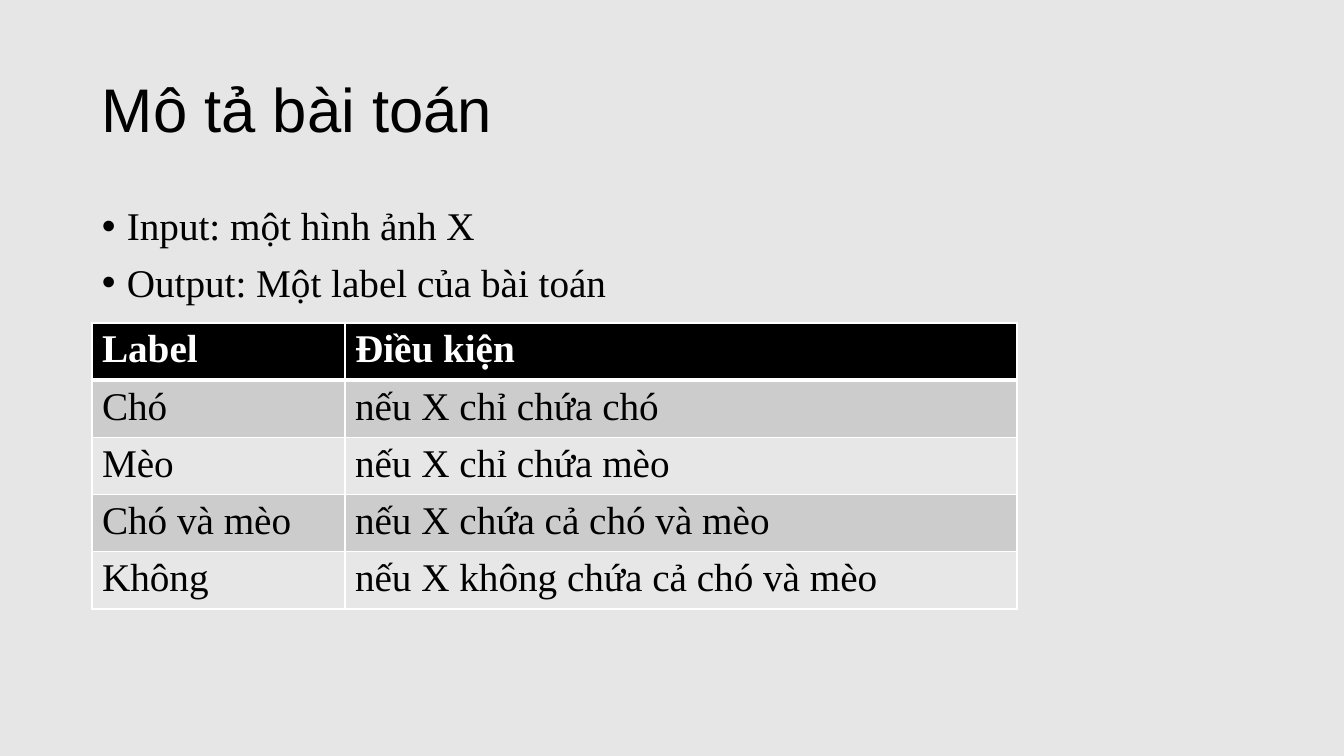
from lxml.etree import SubElement
from pptx import Presentation
from pptx.dml.color import RGBColor
from pptx.enum.text import MSO_ANCHOR
from pptx.oxml import parse_xml
from pptx.oxml.ns import nsdecls, qn
from pptx.util import Pt

TITLE = "Mô tả bài toán"
BULLETS = ["Input: một hình ảnh X", "Output: Một label của bài toán"]
LABEL_ROWS = [
    ("Label", "Điều kiện"),
    ("Chó", "nếu X chỉ chứa chó"),
    ("Mèo", "nếu X chỉ chứa mèo"),
    ("Chó và mèo", "nếu X chứa cả chó và mèo"),
    ("Không", "nếu X không chứa cả chó và mèo"),
]

PAGE_SIZE = (1344, 756)
LEFT, TEXT_WIDTH = 92, 1160
TITLE_TOP, TITLE_HEIGHT = 40, 146
BULLETS_TOP, BULLETS_HEIGHT = 202, 122
TABLE_TOP, ROW_HEIGHT = 323, 53
COLUMN_WIDTHS = [253, 672]
BULLET_INDENT = 25

BACKGROUND = RGBColor(0xE7, 0xE6, 0xE6)
BLACK = RGBColor(0x00, 0x00, 0x00)
WHITE = RGBColor(0xFF, 0xFF, 0xFF)
DARK_BAND = RGBColor(0xCC, 0xCC, 0xCC)
LIGHT_BAND = RGBColor(0xE7, 0xE7, 0xE7)
TITLE_FONT, BODY_FONT = "Arial", "Times New Roman"


def emu(pixels):
    """Turn pixels into EMU."""
    return round(pixels * 914400 / 100.8)


def style(para, font, size, color, bold=False):
    """Format every run of a paragraph."""
    for span in para.runs:
        span.font.name = font
        span.font.size = Pt(size)
        span.font.color.rgb = color
        span.font.bold = bold


def add_text(page, top, height, lines, font, size):
    """Add a wrapped text box with one paragraph per line."""
    box = page.shapes.add_textbox(*map(emu, (LEFT, top, TEXT_WIDTH, height)))
    frame = box.text_frame
    frame.word_wrap = True
    frame.text = "\n".join(lines)
    for para in frame.paragraphs:
        para.line_spacing = 0.9
        style(para, font, size, BLACK)
    return frame


def add_bullet(para):
    """Give a paragraph a hanging round bullet."""
    para.space_before = Pt(10)
    properties = para._p.get_or_add_pPr()
    properties.set("marL", str(emu(BULLET_INDENT)))
    properties.set("indent", str(-emu(BULLET_INDENT)))
    SubElement(properties, qn("a:buFont"), typeface="Arial")
    SubElement(properties, qn("a:buChar"), char="•")


def add_borders(cell, top, bottom):
    """Draw white cell borders, with top and bottom widths in points."""
    properties = cell._tc.get_or_add_tcPr()
    widths = [("L", 1), ("R", 1), ("T", top), ("B", bottom)]
    for position, (side, width) in enumerate(widths):
        line = parse_xml(
            f'<a:ln{side} {nsdecls("a")} w="{Pt(width)}"><a:solidFill>'
            f'<a:srgbClr val="{WHITE}"/></a:solidFill></a:ln{side}>'
        )
        properties.insert(position, line)


def add_label_table(page):
    """Add the table of labels and their conditions."""
    size = (sum(COLUMN_WIDTHS), ROW_HEIGHT * len(LABEL_ROWS))
    table = page.shapes.add_table(
        len(LABEL_ROWS), len(COLUMN_WIDTHS), *map(emu, (LEFT, TABLE_TOP, *size))
    ).table
    for column, width in zip(table.columns, COLUMN_WIDTHS):
        column.width = emu(width)
    for row, texts in enumerate(LABEL_ROWS):
        header = row == 0
        band = DARK_BAND if row % 2 else LIGHT_BAND
        for column, text in enumerate(texts):
            cell = table.cell(row, column)
            cell.text = text
            cell.fill.solid()
            cell.fill.fore_color.rgb = BLACK if header else band
            style(cell.text_frame.paragraphs[0], BODY_FONT, 28,
                  WHITE if header else BLACK, header)
            add_borders(cell, 3 if row == 1 else 1, 3 if header else 1)


deck = Presentation()
deck.slide_width, deck.slide_height = map(emu, PAGE_SIZE)
page = deck.slides.add_slide(deck.slide_layouts[6])
page.background.fill.solid()
page.background.fill.fore_color.rgb = BACKGROUND

title = add_text(page, TITLE_TOP, TITLE_HEIGHT, [TITLE], TITLE_FONT, 44)
title.vertical_anchor = MSO_ANCHOR.MIDDLE
bullets = add_text(page, BULLETS_TOP, BULLETS_HEIGHT, BULLETS, BODY_FONT, 28)
for para in bullets.paragraphs:
    add_bullet(para)
add_label_table(page)

deck.save("out.pptx")
